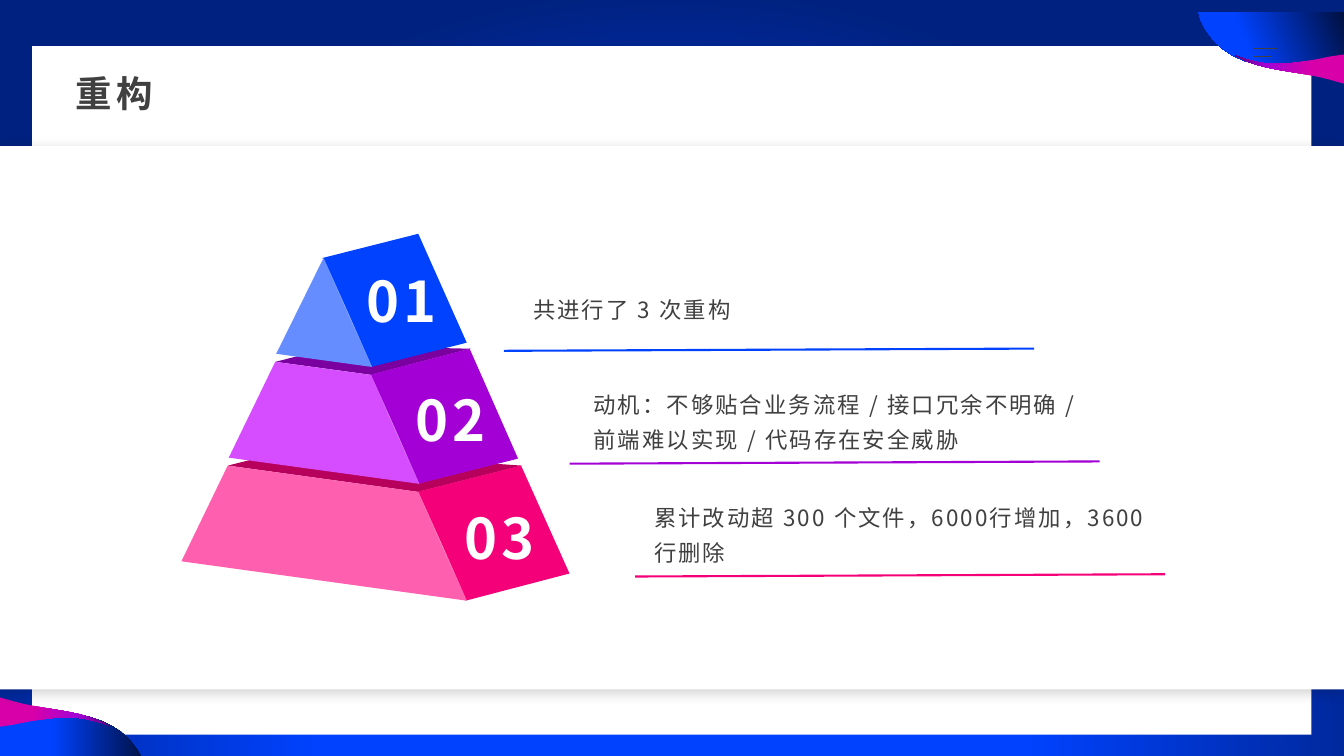
from pptx import Presentation
from pptx.dml.color import RGBColor
from pptx.enum.shapes import MSO_CONNECTOR, MSO_SHAPE
from pptx.enum.text import MSO_ANCHOR, PP_ALIGN
from pptx.oxml import parse_xml
from pptx.oxml.ns import nsdecls, qn
from pptx.util import Pt
from lxml.etree import SubElement

FONT = "Noto Sans CJK SC"
HEX = {
    "white": "FFFFFF", "ink": "404040", "shade": "0D0D0D",
    "blue": "0042FE", "sky": "658DFF", "navy": "00217F", "night": "001040",
    "purple": "A300D5", "lilac": "D54DFF", "plum": "7A00A0", "grape": "5C0078",
    "pink": "F40079", "rose": "FF5FAF", "wine": "B7005B", "fuchsia": "D800A8",
}
RGB = {name: RGBColor.from_string(code) for name, code in HEX.items()}


def blend(owner, stops, shade):
    """Give a shape's or background's properties element a gradient."""
    marks = "".join(
        f'<a:gs pos="{pos * 1000}"><a:srgbClr val="{HEX[name]}"/></a:gs>'
        for pos, name in stops)
    new = parse_xml(f'<a:gradFill {nsdecls("a")} rotWithShape="1">'
                    f'<a:gsLst>{marks}</a:gsLst>{shade}</a:gradFill>')
    old = owner.find(qn("a:gradFill"))
    owner.replace(old, new)


def write(box, text, size, color, gap, bold=False):
    """Put one line of styled text in a text box, with letter spacing in points."""
    frame = box.text_frame
    frame.word_wrap = True
    para = frame.paragraphs[0]
    run = para.add_run()
    run.text = text
    for key, val in {"name": FONT, "size": Pt(size), "bold": bold}.items():
        setattr(run.font, key, val)
    run.font.color.rgb = RGB[color]
    props = run.font._element
    props.set("spc", str(int(gap * 100)))
    SubElement(props, qn("a:ea")).set("typeface", FONT)
    return frame, para


deck = Presentation()
deck.slide_width, deck.slide_height = Pt(960), Pt(540)
slide = deck.slides.add_slide(deck.slide_layouts[6])
shapes = slide.shapes

# Backdrop
slide.background.fill.gradient()
glow = slide._element.find(".//" + qn("p:bgPr"))
blend(glow, [(0, "blue"), (46, "blue"), (100, "navy")],
      '<a:path path="circle"><a:fillToRect l="50000" t="130000" '
      'r="50000" b="-30000"/></a:path>')


# Outlines: a step of two numbers is a corner, one of six is a curve
def trace(steps):
    pen = steps[0]
    build = shapes.build_freeform(Pt(pen[0]), Pt(pen[1]))
    spots = []
    for step in steps[1:]:
        if len(step) == 2:
            spots.append(step)
        else:
            ctrl = [pen, step[:2], step[2:4], step[4:]]
            for i in range(1, 13):
                t = i / 12
                mix = ((1 - t) ** 3, 3 * t * (1 - t) ** 2, 3 * t * t * (1 - t), t ** 3)
                spots.append([sum(m * c[k] for m, c in zip(mix, ctrl)) for k in (0, 1)])
        pen = step[-2:]
    build.add_line_segments([(Pt(x), Pt(y)) for x, y in spots], close=True)
    form = build.convert_to_shape()
    form.shadow.inherit = False
    form.line.fill.background()
    return form


panels = []
for left, top, width, height in [(23, 33, 913.7, 491.8), (0, 104.4, 960, 388)]:
    panel = shapes.add_shape(MSO_SHAPE.RECTANGLE, Pt(left), Pt(top), Pt(width), Pt(height))
    panel.shadow.inherit = False
    panel.fill.solid()
    panel.fill.fore_color.rgb = RGB["white"]
    panel.line.fill.background()
    panels.append(panel)
band = panels[1]
cast = SubElement(band._element.spPr.find(qn("a:effectLst")), qn("a:outerShdw"))
for key, val in {"blurRad": Pt(10), "dist": Pt(3), "dir": 5400000, "rotWithShape": 0}.items():
    cast.set(key, str(int(val)))
tint = SubElement(cast, qn("a:srgbClr"))
tint.set("val", HEX["shade"])
SubElement(tint, qn("a:alpha")).set("val", "20000")

# Corner waves: the lower left pair is the upper right pair turned half round
waves = [
    ([(856.1, 8.6), (960, 8.6), (960, 58.3), (957.6, 57.6),
      (923, 46.8, 882, 54, 861.8, 22.3), (860.4, 19.8, 858.9, 17.3, 857.5, 14.4)],
     [(0, "night"), (64, "blue")], (158, 180)),
    ([(960, 38.9), (960, 59.8), (949.7, 56.9), (926.6, 50.4, 901.4, 51.1, 882, 39.6),
      (902.9, 47.5, 917.3, 47.5, 950.4, 40.3)],
     [(29, "fuchsia"), (71, "purple"), (100, "grape")], (180, 0)),
]
for turn in (0, 1):
    for steps, stops, angles in waves:
        if turn:
            steps = [tuple((558 if i % 2 else 960) - n for i, n in enumerate(step))
                     for step in steps]
        wave = trace(steps)
        wave.fill.gradient()
        blend(wave._element.spPr, stops,
              f'<a:lin ang="{angles[turn] * 60000}" scaled="0"/>')
shapes._spTree.append(band._element)

# Title
title = shapes.add_textbox(Pt(48.2), Pt(48.2), Pt(864), Pt(44.6))
frame, para = write(title, "重构", 26, "ink", 3, True)
para.space_after = Pt(8)
for side, inset in {"left": 5.8, "right": 5.8, "top": 2.9, "bottom": 2.9}.items():
    setattr(frame, "margin_" + side, Pt(inset))

# Pyramid tiers: front, side, then the lid of the tier below
tiers = [
    ("blue", [(230.4, 184.3), (298.8, 167), (333.4, 244.8), (265, 262.1)],
     "sky", [(231.1, 184.3), (265.7, 262.1), (197.3, 252.7)],
     "plum", [(196.6, 258.5), (241.9, 247), (336.2, 249.1), (265, 267.8)],
     "共进行了 3 次重构"),
    ("purple", [(264.2, 267.8), (335.5, 249.1), (370.1, 327.6), (298.8, 345.6)],
     "lilac", [(265, 267.8), (299.5, 345.6), (163.4, 326.9), (196.6, 258.5)],
     "wine", [(162.7, 332.6), (208.1, 321.1), (373, 332.6), (298.8, 351.4)],
     "动机：不够贴合业务流程 / 接口冗余不明确 / 前端难以实现 / 代码存在安全威胁"),
    ("pink", [(298.1, 351.4), (372.2, 332.6), (406.8, 409.7), (332.6, 429.1)],
     "rose", [(298.8, 351.4), (333.4, 429.1), (129.6, 401), (162.7, 332.6)],
     None, [],
     "累计改动超 300 个文件，6000行增加，3600行删除"),
]
rules = [(896, 34.6, 912, 34.6, "ink", 1), (896, 40.3, 908, 40.3, "ink", 1)]
for i, (hue, front, pale, flank, dark, lid, note) in enumerate(tiers):
    faces = [(dark, lid)] if lid else []
    faces += [(hue, front), (pale, flank)]
    edges = [flank[:2]] + ([(lid[3], lid[2]), (lid[0], lid[3])] if lid else [])
    for (x1, y1), (x2, y2) in edges:
        x, y = (x1 + x2) / 2, (y1 + y2) / 2
        faces.append(("white", [(x1, y1), (x + 0.2, y), (x2, y2), (x - 0.2, y)]))
    for color, steps in faces:
        face = trace(steps)
        face.fill.solid()
        face.fill.fore_color.rgb = RGB[color]
        if color == "white":
            clear = face._element.spPr.find(qn("a:solidFill"))[0]
            SubElement(clear, qn("a:alpha")).set("val", "50000")

    badge = shapes.add_textbox(Pt(254.9 + 35.25 * i), Pt(183.6 + 84.6 * i), Pt(63.4), Pt(61.9))
    frame, para = write(badge, f"{i + 1:02}", 40, "white", 3, True)
    frame.vertical_anchor = MSO_ANCHOR.MIDDLE
    para.alignment = PP_ALIGN.CENTER
    for side in ("left", "right", "top", "bottom"):
        setattr(frame, "margin_" + side, Pt(0))

    label = shapes.add_textbox(Pt(373.7 + 43.2 * i), Pt(188.6 + 80.3 * i), Pt(370.8), Pt(59.8))
    frame, para = write(label, note, 16, "ink", 1.5)
    frame.vertical_anchor = MSO_ANCHOR.MIDDLE
    para.line_spacing = 1.3
    x, y = 360 + 46.8 * i, 250.6 + 80.6 * i
    rules.append((x, y, x + 378.6, y - 1.6, hue, 1.5))

# Menu mark and label rules
for x1, y1, x2, y2, color, width in rules:
    rule = shapes.add_connector(MSO_CONNECTOR.STRAIGHT, Pt(x1), Pt(y1), Pt(x2), Pt(y2))
    rule.line.color.rgb = RGB[color]
    rule.line.width = Pt(width)
    SubElement(rule._element.spPr, qn("a:effectLst"))

deck.save("out.pptx")
